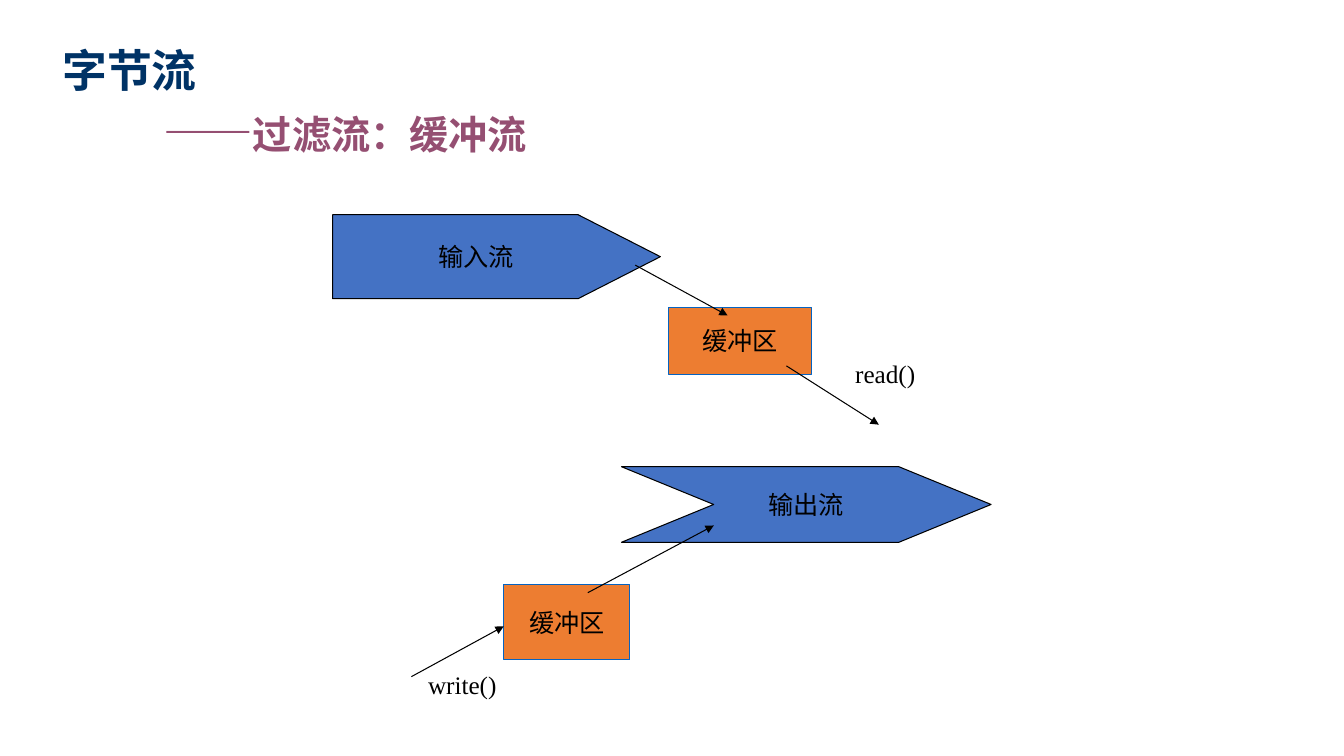
import pptx
import pptx.dml.color
import pptx.enum.lang
import pptx.enum.shapes
import pptx.enum.text
import pptx.oxml
import pptx.oxml.ns
import pptx.util

FONT = "Times New Roman"
BLACK, NAVY, PLUM = "000000", "003366", "954F72"
BLUE, ORANGE, LINK_BLUE = "4472C4", "ED7D31", "0563C1"
SLIDE_WIDTH, SLIDE_HEIGHT = 13.33, 7.5
CELL = 1 / 12
SHAPES = pptx.enum.shapes.MSO_SHAPE
DRAWING = pptx.oxml.ns.nsdecls("a")


def color(hex_code):
    return pptx.dml.color.RGBColor.from_string(hex_code)


def style_run(run, size, hex_code, bold=False):
    run.font.name = FONT
    run.font.size = pptx.util.Pt(size)
    run.font.bold = bold
    run.font.color.rgb = color(hex_code)
    run.font.language_id = pptx.enum.lang.MSO_LANGUAGE_ID.SIMPLIFIED_CHINESE


def grid_point(origin, column, row):
    left, top = origin
    return (pptx.util.Inches(left + column * CELL),
            pptx.util.Inches(top + row * CELL))


def add_block(slide, origin, cells, kind, label, fill, outline, point=None):
    column, row, columns, rows = cells
    block = slide.shapes.add_shape(
        kind, *grid_point(origin, column, row),
        *grid_point((0, 0), columns, rows))
    block.shadow.inherit = False
    if point is not None:
        block.adjustments[0] = point
    block.fill.solid()
    block.fill.fore_color.rgb = color(fill)
    block.line.color.rgb = color(outline)
    block.line.width = pptx.util.Pt(0.75)
    block.text_frame.text = label
    block.text_frame.word_wrap = False
    block.text_frame.vertical_anchor = pptx.enum.text.MSO_ANCHOR.MIDDLE
    paragraph = block.text_frame.paragraphs[0]
    paragraph.alignment = pptx.enum.text.PP_ALIGN.CENTER
    style_run(paragraph.runs[0], 18, BLACK)


def add_arrow(slide, origin, start, end):
    arrow = slide.shapes.add_connector(
        pptx.enum.shapes.MSO_CONNECTOR.STRAIGHT,
        *grid_point(origin, *start), *grid_point(origin, *end))
    arrow.line.color.rgb = color(BLACK)
    arrow.line.width = pptx.util.Pt(0.75)
    arrow.line._get_or_add_ln().append(
        pptx.oxml.parse_xml(f'<a:tailEnd {DRAWING} type="triangle"/>'))
    arrow._element.spPr.append(
        pptx.oxml.parse_xml(f'<a:effectLst {DRAWING}/>'))


def add_call(slide, origin, cells, call):
    column, row, columns, rows = cells
    caption = slide.shapes.add_textbox(
        *grid_point(origin, column, row), *grid_point((0, 0), columns, rows))
    caption.text_frame.word_wrap = False
    caption.text_frame.auto_size = (
        pptx.enum.text.MSO_AUTO_SIZE.SHAPE_TO_FIT_TEXT)
    caption.text_frame.text = call
    style_run(caption.text_frame.paragraphs[0].runs[0], 18, BLACK)


def add_heading(slide, left, top, width, height):
    heading = slide.shapes.add_textbox(
        *(pptx.util.Inches(length) for length in (left, top, width, height)))
    frame = heading.text_frame
    frame.word_wrap = True
    lines = [
        [("字节流", 32, NAVY)],
        [("\t——", 32, PLUM), ("过滤流：缓冲流", 28, PLUM)],
    ]
    for index, pieces in enumerate(lines):
        paragraph = frame.add_paragraph() if index else frame.paragraphs[0]
        paragraph.space_before = pptx.util.Pt(6.4)
        paragraph._p.get_or_add_pPr().append(pptx.oxml.parse_xml(
            f'<a:tabLst {DRAWING}>'
            f'<a:tab pos="{pptx.util.Inches(1)}" algn="l"/></a:tabLst>'))
        for words, size, hex_code in pieces:
            run = paragraph.add_run()
            run.text = words
            style_run(run, size, hex_code, bold=True)


def add_output_flow(slide, left, top):
    origin = left, top
    add_block(slide, origin, (25, 0, 44, 9), SHAPES.CHEVRON,
              "输出流", BLUE, BLACK, 1.22)
    add_block(slide, origin, (11, 14, 15, 9), SHAPES.RECTANGLE,
              "缓冲区", ORANGE, LINK_BLUE)
    add_arrow(slide, origin, (0, 25), (11, 19))
    add_arrow(slide, origin, (21, 15), (36, 7))
    add_call(slide, origin, (0.8, 23.5, 10.7, 4.8), "write()")


def add_input_flow(slide, left, top):
    origin = left, top
    add_block(slide, origin, (0, 0, 39, 10), SHAPES.PENTAGON,
              "输入流", BLUE, BLACK, 0.98)
    add_block(slide, origin, (40, 11, 17, 8), SHAPES.RECTANGLE,
              "缓冲区", ORANGE, LINK_BLUE)
    add_arrow(slide, origin, (36, 6), (47, 12))
    add_arrow(slide, origin, (54, 18), (65, 25))
    add_call(slide, origin, (61, 16.5, 9.7, 4.8), "read()")


def main():
    deck = pptx.Presentation()
    deck.slide_width = pptx.util.Inches(SLIDE_WIDTH)
    deck.slide_height = pptx.util.Inches(SLIDE_HEIGHT)
    slide = deck.slides.add_slide(deck.slide_layouts[6])
    add_heading(slide, 0.52, 0.37, 6.08, 1.29)
    add_output_flow(slide, 4.08, 4.63)
    add_input_flow(slide, 3.3, 2.13)
    deck.save("out.pptx")


if __name__ == "__main__":
    main()
